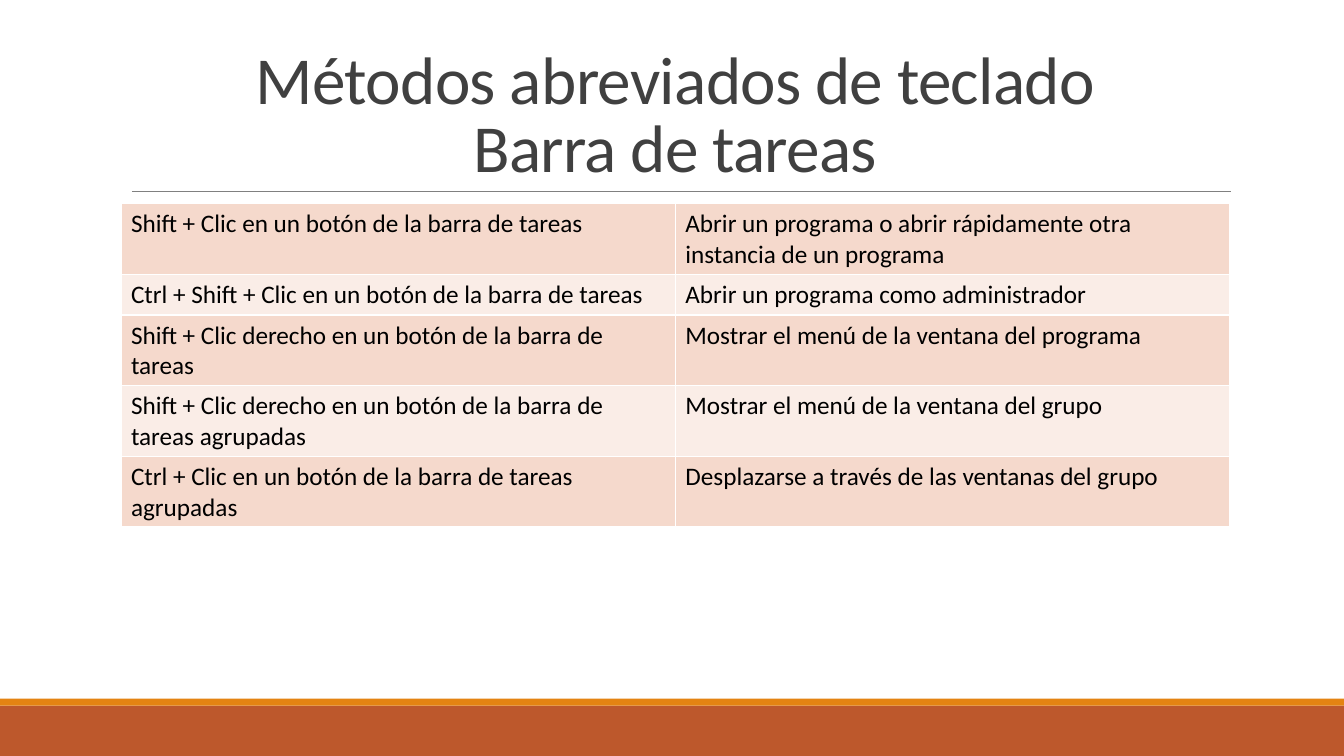
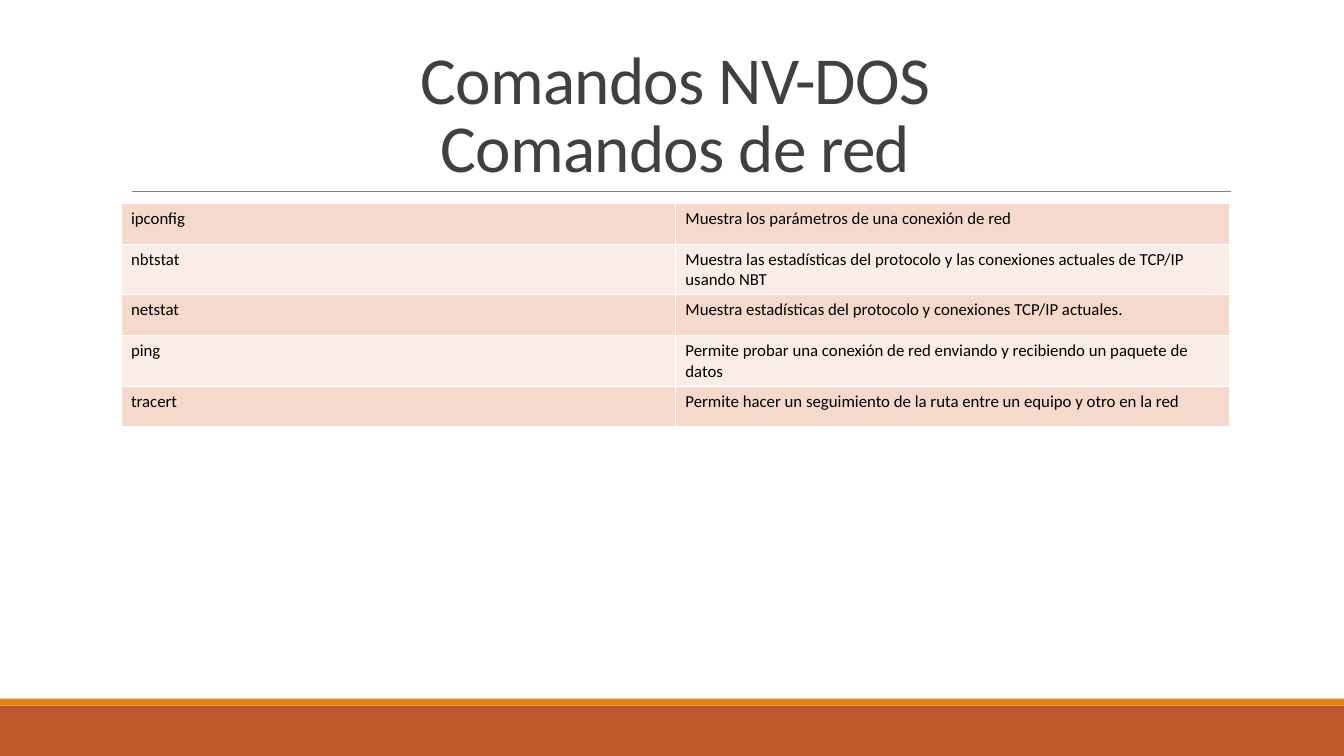
"""Build two slides, each with a titled two-column table of shortcuts or commands."""
import pptx
import pptx.dml.color
import pptx.enum.shapes
import pptx.enum.text
import pptx.oxml
import pptx.oxml.ns
import pptx.util

Pt = pptx.util.Pt

SLIDES = [
    {
        "title": "Métodos abreviados de teclado\nBarra de tareas",
        "size": 18,
        "rows": [
            ("Shift + Clic en un botón de la barra de tareas",
             "Abrir un programa o abrir rápidamente otra instancia de un programa"),
            ("Ctrl + Shift + Clic en un botón de la barra de tareas",
             "Abrir un programa como administrador"),
            ("Shift + Clic derecho en un botón de la barra de tareas",
             "Mostrar el menú de la ventana del programa"),
            ("Shift + Clic derecho en un botón de la barra de tareas agrupadas",
             "Mostrar el menú de la ventana del grupo"),
            ("Ctrl + Clic en un botón de la barra de tareas agrupadas",
             "Desplazarse a través de las ventanas del grupo"),
        ],
    },
    {
        "title": "Comandos NV-DOS\nComandos de red",
        "size": 12,
        "rows": [
            ("ipconfig", "Muestra los parámetros de una conexión de red"),
            ("nbtstat",
             "Muestra las estadísticas del protocolo y las conexiones actuales de TCP/IP usando NBT"),
            ("netstat", "Muestra estadísticas del protocolo y conexiones TCP/IP actuales."),
            ("ping", "Permite probar una conexión de red enviando y recibiendo un paquete de datos"),
            ("tracert", "Permite hacer un seguimiento de la ruta entre un equipo y otro en la red"),
        ],
    },
]

COLORS = {
    "band": "BD582C",
    "stripe": "E48312",
    "rule": "808080",
    "title": "404040",
    "text": "000000",
    "border": "FFFFFF",
    "odd_row": "F5D9CC",
    "even_row": "FAEDE7",
}
FONT = "Calibri"
SLIDE_WIDTH, SLIDE_HEIGHT = 960, 540
BANDS = [("band", 504, 36), ("stripe", 499, 5)]
LEFT, CONTENT_WIDTH = 86.4, 792
TITLE_TOP, TITLE_HEIGHT = 22.3, 114.5
RULE_LEFT, RULE_RIGHT, RULE_TOP = 94.3, 879.1, 136.8
TABLE_TOP, ROW_HEIGHT = 145.4, 29.2


def rgb(name):
    return pptx.dml.color.RGBColor.from_string(COLORS[name])


def style_font(paragraph, size, color):
    paragraph.font.name = FONT
    paragraph.font.size = Pt(size)
    paragraph.font.color.rgb = rgb(color)


def add_frame(slide):
    for color, top, height in BANDS:
        band = slide.shapes.add_shape(
            pptx.enum.shapes.MSO_SHAPE.RECTANGLE, 0, Pt(top), Pt(SLIDE_WIDTH), Pt(height))
        band.shadow.inherit = False
        band.fill.solid()
        band.fill.fore_color.rgb = rgb(color)
        band.line.fill.background()
    rule = slide.shapes.add_connector(
        pptx.enum.shapes.MSO_CONNECTOR.STRAIGHT,
        Pt(RULE_LEFT), Pt(RULE_TOP), Pt(RULE_RIGHT), Pt(RULE_TOP))
    rule.line.color.rgb = rgb("rule")
    rule.line.width = Pt(0.5)
    rule._element.spPr.append(pptx.oxml.parse_xml(
        f'<a:effectLst {pptx.oxml.ns.nsdecls("a")}/>'))


def add_title(slide, title):
    box = slide.shapes.add_textbox(
        Pt(LEFT), Pt(TITLE_TOP), Pt(CONTENT_WIDTH), Pt(TITLE_HEIGHT))
    frame = box.text_frame
    frame.word_wrap = True
    frame.vertical_anchor = pptx.enum.text.MSO_ANCHOR.BOTTOM
    paragraph = frame.paragraphs[0]
    paragraph.text = title
    paragraph.alignment = pptx.enum.text.PP_ALIGN.CENTER
    paragraph.line_spacing = 0.85
    style_font(paragraph, 48, "title")
    paragraph._p.pPr.find(pptx.oxml.ns.qn("a:defRPr")).set("spc", "-50")


def add_borders(cell):
    properties = cell._tc.get_or_add_tcPr()
    for side in ("lnL", "lnR", "lnT", "lnB"):
        properties.append(pptx.oxml.parse_xml(
            f'<a:{side} {pptx.oxml.ns.nsdecls("a")} w="{Pt(1)}"><a:solidFill>'
            f'<a:srgbClr val="{COLORS["border"]}"/></a:solidFill></a:{side}>'))


def add_table(slide, rows, size):
    columns = len(rows[0])
    table = slide.shapes.add_table(
        len(rows), columns, Pt(LEFT), Pt(TABLE_TOP),
        Pt(CONTENT_WIDTH), Pt(ROW_HEIGHT * len(rows))).table
    table.first_row = False
    table.horz_banding = False
    for row_index, texts in enumerate(rows):
        for column_index, text in enumerate(texts):
            cell = table.cell(row_index, column_index)
            add_borders(cell)
            cell.fill.solid()
            cell.fill.fore_color.rgb = rgb("even_row" if row_index % 2 else "odd_row")
            paragraph = cell.text_frame.paragraphs[0]
            paragraph.text = text
            style_font(paragraph, size, "text")


def main():
    presentation = pptx.Presentation()
    presentation.slide_width = Pt(SLIDE_WIDTH)
    presentation.slide_height = Pt(SLIDE_HEIGHT)
    for content in SLIDES:
        slide = presentation.slides.add_slide(presentation.slide_layouts[6])
        add_frame(slide)
        add_title(slide, content["title"])
        add_table(slide, content["rows"], content["size"])
    presentation.save("out.pptx")


if __name__ == "__main__":
    main()
